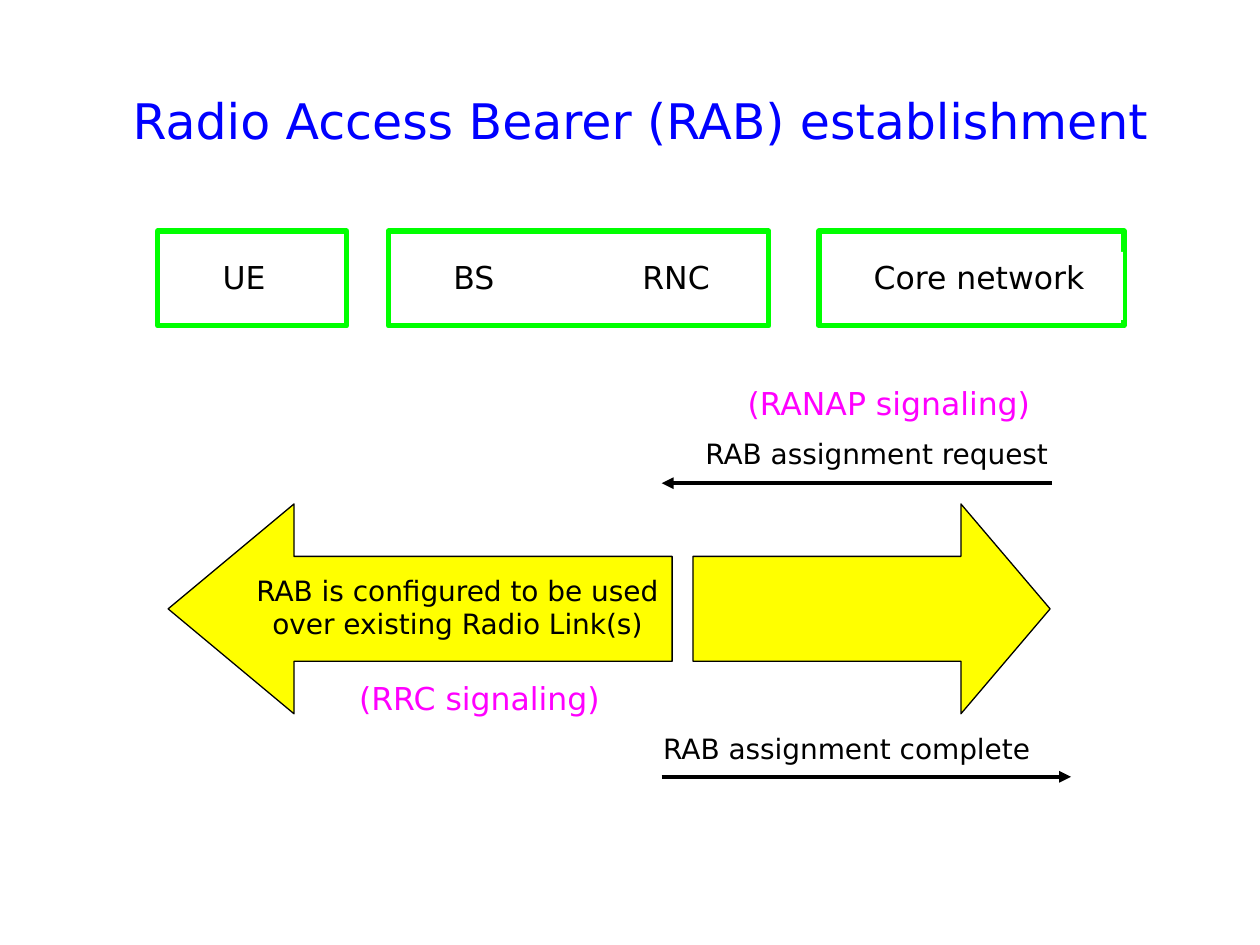
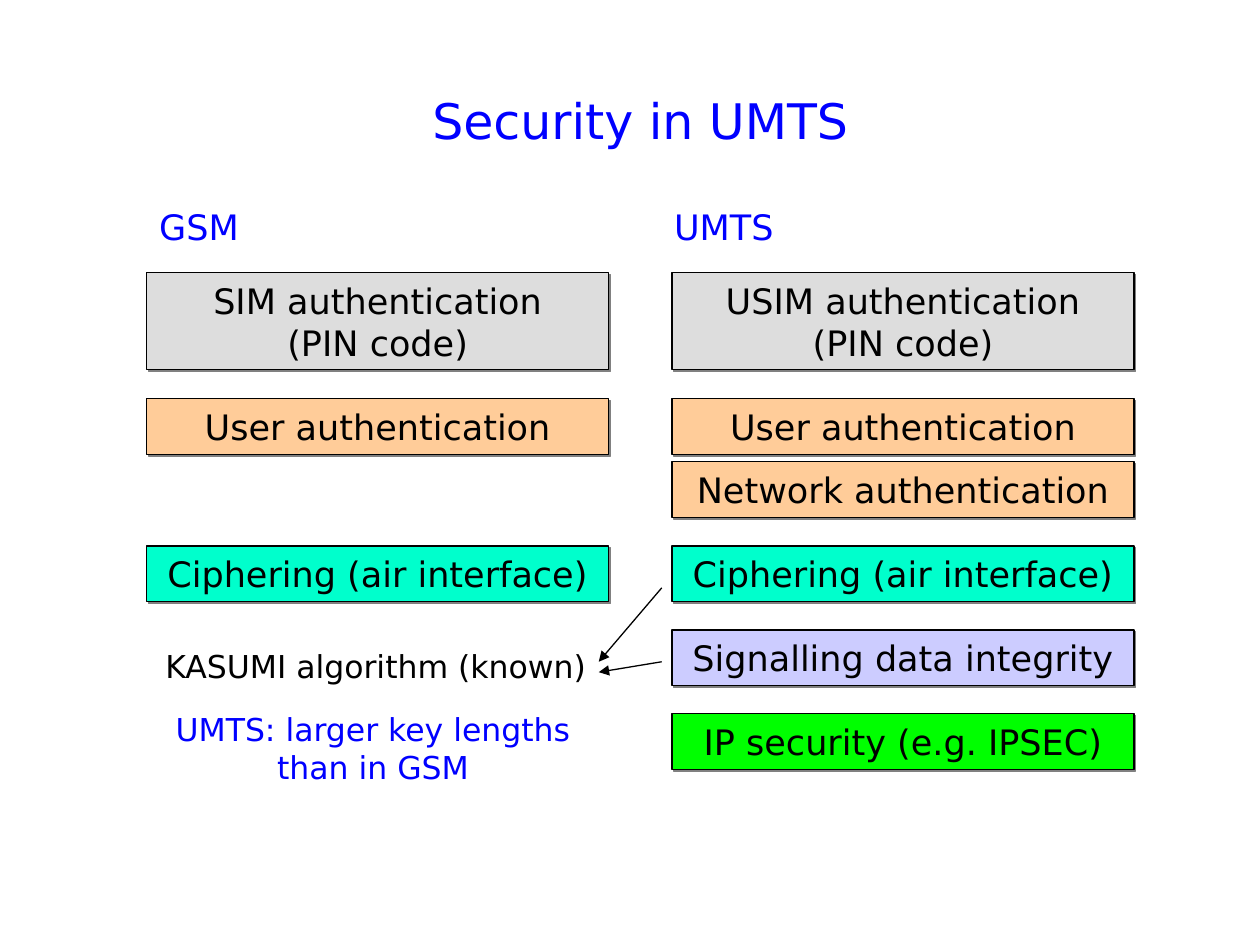
from lxml.etree import SubElement
from pptx import Presentation
from pptx.dml.color import RGBColor
from pptx.enum.shapes import MSO_CONNECTOR, MSO_SHAPE as Preset
from pptx.enum.text import MSO_ANCHOR, MSO_AUTO_SIZE, PP_ALIGN as Align
from pptx.oxml.ns import qn
from pptx.util import Cm, Pt

FONT = "DejaVu Sans"
BLACK, WHITE, BLUE, MAGENTA = "000000", "FFFFFF", "0000FF", "FF00FF"
GREEN, YELLOW, GREY, ORANGE = "00FF00", "FFFF00", "DDDDDD", "FFCC99"
TURQUOISE, LAVENDER, SHADOW = "00FFCC", "CCCCFF", "808080"
LINE_HEIGHT = 1.12

# Security function: top within its column, height, fill
SECURITY_ROWS = {
    "card": (1.48, 1.95, GREY),
    "user": (4.02, LINE_HEIGHT, ORANGE),
    "network": (5.29, LINE_HEIGHT, ORANGE),
    "ciphering": (6.99, LINE_HEIGHT, TURQUOISE),
    "integrity": (8.68, LINE_HEIGHT, LAVENDER),
    "ip": (10.37, LINE_HEIGHT, GREEN),
}
GSM_FUNCTIONS = {
    "card": "SIM authentication\n(PIN code)",
    "user": "User authentication",
    "ciphering": "Ciphering (air interface)",
}
UMTS_FUNCTIONS = {
    **GSM_FUNCTIONS,
    "card": "USIM authentication (PIN code)",
    "network": "Network authentication",
    "integrity": "Signalling data integrity",
    "ip": "IP security (e.g. IPSEC)",
}


def color(hex_string):
    return RGBColor.from_string(hex_string)


def write(shape, text, size, text_color=BLACK, align=Align.LEFT):
    """Fill a shape with text in the shared text style."""
    frame = shape.text_frame
    frame.text = text
    frame.word_wrap = True
    frame.auto_size = MSO_AUTO_SIZE.NONE
    frame.vertical_anchor = MSO_ANCHOR.TOP
    frame.margin_left = frame.margin_right = Cm(0.25)
    frame.margin_top = frame.margin_bottom = Cm(0.13)
    for paragraph in frame.paragraphs:
        paragraph.alignment = align
        for run in paragraph.runs:
            run.font.name = FONT
            run.font.size = Pt(size)
            run.font.color.rgb = color(text_color)


def add_text(slide, box, text, size, text_color=BLACK, align=Align.LEFT):
    text_box = slide.shapes.add_textbox(*map(Cm, box))
    write(text_box, text, size, text_color, align)


def add_box(slide, box, fill=None, line=None, width=0.75, preset=Preset.RECTANGLE):
    shape = slide.shapes.add_shape(preset, *map(Cm, box))
    if fill:
        shape.fill.solid()
        shape.fill.fore_color.rgb = color(fill)
    else:
        shape.fill.background()
    if line:
        shape.line.color.rgb = color(line)
        shape.line.width = Pt(width)
    else:
        shape.line.fill.background()
    shape.shadow.inherit = False
    return shape


def add_block_arrow(slide, box, preset, head):
    arrow = add_box(slide, box, YELLOW, BLACK, preset=preset)
    arrow.adjustments[0] = 0.5
    arrow.adjustments[1] = head


def add_arrow(slide, start, end, width):
    arrow = slide.shapes.add_connector(MSO_CONNECTOR.STRAIGHT, *map(Cm, start + end))
    arrow.line.color.rgb = color(BLACK)
    arrow.line.width = Pt(width)
    properties = arrow._element.spPr
    SubElement(properties.find(qn("a:ln")), qn("a:tailEnd"), type="triangle")
    SubElement(properties, qn("a:effectLst"))


def add_hard_shadow(shape):
    effects = shape._element.spPr.find(qn("a:effectLst"))
    shadow = SubElement(effects, qn("a:outerShdw"), blurRad="0",
                        dist=str(Pt(1.4)), dir=str(45 * 60000), rotWithShape="0")
    SubElement(shadow, qn("a:srgbClr"), val=SHADOW)


def add_titled_slide(presentation, text):
    slide = presentation.slides.add_slide(presentation.slide_layouts[5])
    title = slide.shapes.title
    title.left, title.top, title.width, title.height = map(Cm, (1.69, 1.69, 22.43, 1.45))
    write(title, text, 28, BLUE, Align.CENTER)
    return slide


def add_network_nodes(slide, left, top):
    for x, width in ((0, 3.81), (4.65, 7.67), (13.33, 6.15)):
        add_box(slide, (left + x, top, width, 1.91), line=GREEN, width=3)
    nodes = (("UE", 1.06, 1.83), ("BS", 5.71, 1.83),
             ("RNC", 9.52, 2.29), ("Core network", 14.18, 5.28))
    for name, x, width in nodes:
        label = add_box(slide, (left + x, top + 0.42, width, 1.37), fill=WHITE)
        write(label, name, 18)


def add_signaling(slide, left, top):
    """Place the block arrows and the messages exchanged around them."""
    add_block_arrow(slide, (left, top + 2.54, 10.16, 4.23), Preset.LEFT_ARROW, 0.6)
    add_block_arrow(slide, (left + 10.58, top + 2.54, 7.2, 4.23), Preset.RIGHT_ARROW, 0.425)
    messages = (
        ("(RANAP signaling)", 11.43, 0, 6.68, 18, MAGENTA),
        ("RAB assignment request", 10.58, 1.06, 8.05, 16, BLACK),
        ("(RRC signaling)", 3.6, 5.93, 5.5, 18, MAGENTA),
        ("RAB assignment complete", 9.73, 6.99, 8.47, 16, BLACK),
    )
    for text, x, y, width, size, text_color in messages:
        add_text(slide, (left + x, top + y, width, LINE_HEIGHT), text, size, text_color)
    add_text(slide, (left + 1.48, top + 3.81, 8.71, 1.83),
             "RAB is configured to be used over existing Radio Link(s)", 16,
             align=Align.CENTER)
    for start, end, y in ((17.82, 9.95, 2.12), (9.95, 18.2, 8.04)):
        add_arrow(slide, (left + start, top + y), (left + end, top + y), 2.25)


def add_security_column(slide, left, top, heading, functions, heading_shift=0):
    add_text(slide, (left + heading_shift, top, 9.53, LINE_HEIGHT), heading, 20, BLUE)
    for name, text in functions.items():
        y, height, fill = SECURITY_ROWS[name]
        block = add_box(slide, (left, top + y, 9.31, height), fill, BLACK)
        add_hard_shadow(block)
        write(block, text, 20, align=Align.CENTER)


def add_cipher_notes(slide, left, top):
    add_text(slide, (left, top, 9.53, 1.02), "KASUMI algorithm (known)", 18,
             align=Align.RIGHT)
    add_text(slide, (left + 0.64, top + 1.27, 8.68, 1.78),
             "UMTS: larger key lengths than in GSM", 18, BLUE, Align.CENTER)
    for start_y, end_y in ((-1.06, 0.43), (0.43, 0.64)):
        add_arrow(slide, (left + 10.8, top + start_y), (left + 9.53, top + end_y), 0.75)


def add_bearer_slide(presentation):
    slide = add_titled_slide(presentation, "Radio Access Bearer (RAB) establishment")
    add_network_nodes(slide, 3.18, 4.66)
    add_signaling(slide, 3.39, 7.62)


def add_security_slide(presentation):
    slide = add_titled_slide(presentation, "Security in UMTS")
    add_security_column(slide, 2.96, 4.02, "GSM", GSM_FUNCTIONS)
    add_security_column(slide, 13.55, 4.02, "UMTS", UMTS_FUNCTIONS, heading_shift=-0.21)
    add_cipher_notes(slide, 2.54, 12.91)


def main():
    presentation = Presentation()
    presentation.slide_width, presentation.slide_height = Cm(25.4), Cm(19.05)
    add_bearer_slide(presentation)
    add_security_slide(presentation)
    presentation.save("out.pptx")


if __name__ == "__main__":
    main()
